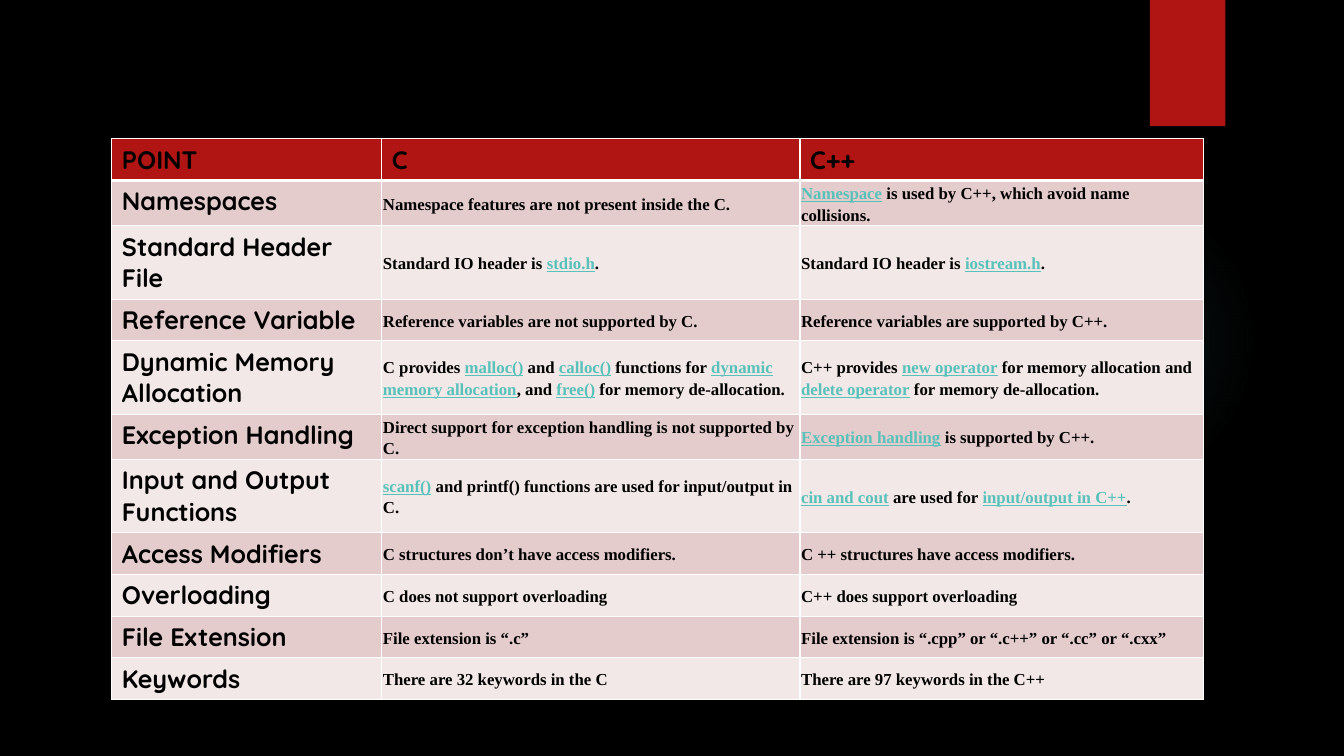
from dataclasses import dataclass
from typing import Any

from lxml.etree import SubElement
from pptx import Presentation
from pptx.dml.color import RGBColor
from pptx.enum.shapes import MSO_SHAPE
from pptx.enum.text import MSO_ANCHOR
from pptx.oxml import parse_xml
from pptx.oxml.ns import nsdecls, qn
from pptx.util import Cm, Pt

BLACK = RGBColor(0x00, 0x00, 0x00)
WHITE = RGBColor(0xFF, 0xFF, 0xFF)
RED = RGBColor(0xB0, 0x15, 0x13)
DARK_BAND = RGBColor(0xE4, 0xCC, 0xCC)
LIGHT_BAND = RGBColor(0xF2, 0xE8, 0xE7)
LINK_TEAL = RGBColor(0x58, 0xC1, 0xBA)
GLOW_TEAL = RGBColor(0x50, 0xB9, 0xC1)

GLOW_STOPS = [(0, 7), (36, 6), (69, 0)]
COLUMN_WIDTHS = [6.8, 10.54, 10.18]
ROW_HEIGHT = 1.05
LINK_MARK = "|"

HEADING_FONT = {"name": "Quicksand", "size": Pt(18), "bold": True}
DETAIL_FONT = {"name": "Times New Roman", "size": Pt(12), "bold": True}
DETAIL_CELL = {
    "vertical_anchor": MSO_ANCHOR.MIDDLE,
    "margin_left": Cm(0.03),
    "margin_right": Cm(0.03),
    "margin_top": Cm(0.03),
    "margin_bottom": Cm(0.03),
}


@dataclass(frozen=True)
class Decoration:
    preset: MSO_SHAPE
    left: float
    top: float
    width: float
    height: float
    color: RGBColor


@dataclass(frozen=True)
class Comparison:
    point: str
    c: str
    cpp: str


GLOW = Decoration(MSO_SHAPE.OVAL, 23.9, 4.65, 7.82, 7.82, GLOW_TEAL)
RIBBON = Decoration(MSO_SHAPE.RECTANGLE, 28.98, 0, 1.9, 3.18, RED)

COMPARISONS = [
    Comparison("POINT", "C", "C++"),
    Comparison("Namespaces", "Namespace features are not present inside the C.",
               "|Namespace| is used by C++, which avoid name collisions."),
    Comparison("Standard Header File", "Standard IO header is |stdio.h|.",
               "Standard IO header is |iostream.h|."),
    Comparison("Reference Variable", "Reference variables are not supported by C.",
               "Reference variables are supported by C++."),
    Comparison("Dynamic Memory Allocation",
               "C provides |malloc()| and |calloc()| functions for "
               "|dynamic memory allocation|, and |free()| for memory de-allocation.",
               "C++ provides |new operator| for memory allocation and "
               "|delete operator| for memory de-allocation."),
    Comparison("Exception Handling",
               "Direct support for exception handling is not supported by C.",
               "|Exception handling| is supported by C++."),
    Comparison("Input and Output Functions",
               "|scanf()| and printf() functions are used for input/output in C.",
               "|cin and cout| are used for |input/output in C++|."),
    Comparison("Access Modifiers", "C structures don’t have access modifiers.",
               "C ++ structures have access modifiers."),
    Comparison("Overloading", "C does not support overloading",
               "C++ does support overloading"),
    Comparison("File Extension", "File extension is “.c”",
               "File extension is “.cpp” or “.c++” or “.cc” or “.cxx”"),
    Comparison("Keywords", "There are 32 keywords in the C",
               "There are 97 keywords in the C++"),
]


def apply_format(target: Any, values: dict[str, Any]) -> None:
    for name, value in values.items():
        setattr(target, name, value)


def add_decoration(slide: Any, decoration: Decoration) -> Any:
    shape = slide.shapes.add_shape(
        decoration.preset, Cm(decoration.left), Cm(decoration.top),
        Cm(decoration.width), Cm(decoration.height))
    shape.shadow.inherit = False
    shape.line.fill.background()
    shape.fill.solid()
    shape.fill.fore_color.rgb = decoration.color
    return shape


def set_glow(shape: Any, color: RGBColor) -> None:
    stops = "".join(
        f'<a:gs pos="{position * 1000}"><a:srgbClr val="{color}">'
        f'<a:alpha val="{alpha * 1000}"/></a:srgbClr></a:gs>'
        for position, alpha in GLOW_STOPS)
    gradient = parse_xml(
        f'<a:gradFill {nsdecls("a")} rotWithShape="1"><a:gsLst>{stops}</a:gsLst>'
        '<a:path path="circle"><a:fillToRect l="50000" t="50000" r="50000" b="50000"/>'
        '</a:path></a:gradFill>')
    properties = shape.element.spPr
    properties.replace(properties.find(qn("a:solidFill")), gradient)


def set_shadow(shape: Any) -> None:
    effects = shape.element.spPr.find(qn("a:effectLst"))
    shadow = SubElement(effects, qn("a:outerShdw"), blurRad=str(Pt(3)),
                        dist=str(Pt(2)), dir="5400000", rotWithShape="0")
    color = SubElement(shadow, qn("a:srgbClr"), val=str(BLACK))
    SubElement(color, qn("a:alpha"), val="45000")


def set_borders(cell: Any, top: float, bottom: float) -> None:
    properties = cell._tc.get_or_add_tcPr()
    widths = {"lnL": 1, "lnR": 1, "lnT": top, "lnB": bottom}
    for index, (side, width) in enumerate(widths.items()):
        properties.insert(index, parse_xml(
            f'<a:{side} {nsdecls("a")} w="{Pt(width)}"><a:solidFill>'
            f'<a:srgbClr val="{WHITE}"/></a:solidFill></a:{side}>'))


def write_cell(cell: Any, text: str, font_format: dict[str, Any]) -> None:
    paragraph = cell.text_frame.paragraphs[0]
    if font_format is DETAIL_FONT:
        apply_format(cell, DETAIL_CELL)
        paragraph.line_spacing = 1.15
    for index, piece in enumerate(text.split(LINK_MARK)):
        if not piece:
            continue
        is_link = index % 2 == 1
        run = paragraph.add_run()
        run.text = piece
        apply_format(run.font, font_format | {"underline": is_link})
        run.font.color.rgb = LINK_TEAL if is_link else BLACK


def add_comparison_table(slide: Any) -> None:
    table = slide.shapes.add_table(
        len(COMPARISONS), len(COLUMN_WIDTHS), Cm(2.82), Cm(3.5),
        Cm(sum(COLUMN_WIDTHS)), Cm(ROW_HEIGHT * len(COMPARISONS))).table
    for column, width in zip(table.columns, COLUMN_WIDTHS):
        column.width = Cm(width)
    for row_index, comparison in enumerate(COMPARISONS):
        table.rows[row_index].height = Cm(ROW_HEIGHT)
        is_header = row_index == 0
        band = DARK_BAND if row_index % 2 else LIGHT_BAND
        texts = (comparison.point, comparison.c, comparison.cpp)
        for column_index, text in enumerate(texts):
            cell = table.cell(row_index, column_index)
            is_heading = is_header or column_index == 0
            write_cell(cell, text, HEADING_FONT if is_heading else DETAIL_FONT)
            cell.fill.solid()
            cell.fill.fore_color.rgb = RED if is_header else band
            set_borders(cell, top=3 if row_index == 1 else 1,
                        bottom=3 if is_header else 1)


def main() -> None:
    presentation = Presentation()
    presentation.slide_width = Cm(33.87)
    presentation.slide_height = Cm(19.05)
    slide = presentation.slides.add_slide(presentation.slide_layouts[6])
    slide.background.fill.solid()
    slide.background.fill.fore_color.rgb = BLACK
    set_glow(add_decoration(slide, GLOW), GLOW.color)
    set_shadow(add_decoration(slide, RIBBON))
    add_comparison_table(slide)
    presentation.save("out.pptx")


if __name__ == "__main__":
    main()
